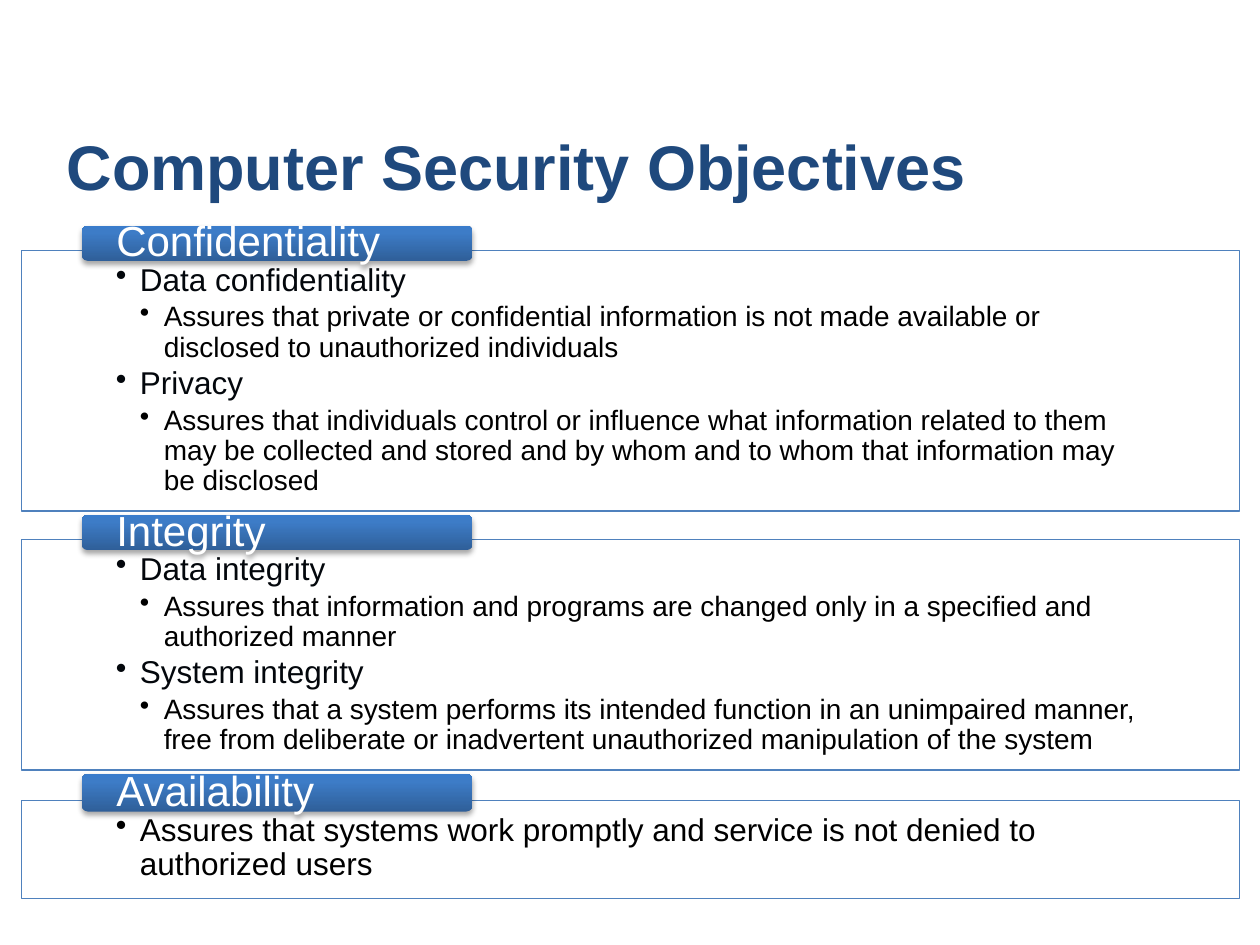
"""Builds a slide of three stacked, labelled panels on computer security objectives."""
from dataclasses import dataclass

from lxml import etree
from pptx import Presentation
from pptx.dml.color import RGBColor
from pptx.enum.shapes import MSO_SHAPE
from pptx.enum.text import MSO_ANCHOR, PP_ALIGN
from pptx.oxml import parse_xml
from pptx.oxml.ns import nsdecls, qn
from pptx.util import Emu, Inches, Pt

RECT, ROUNDED = MSO_SHAPE.RECTANGLE, MSO_SHAPE.ROUNDED_RECTANGLE
TOP, MIDDLE, BOTTOM = MSO_ANCHOR.TOP, MSO_ANCHOR.MIDDLE, MSO_ANCHOR.BOTTOM
LEFT = PP_ALIGN.LEFT
WIDTH, HEIGHT = Inches(10), Inches(7.5)


@dataclass(frozen=True)
class Theme:
    font: str = "Arial"
    title: str = "1F497D"
    head: str = "03070C"
    body: str = "000000"
    white: str = "FFFFFF"
    border: str = "4F81BD"
    tab_stops: tuple = ((0, "2F5F99"), (80, "3D7CC7"), (100, "3A7CCB"))
    title_pt: int = 36
    tab_pt: int = 24
    level_pt: tuple = (18, 16)


@dataclass(frozen=True)
class Bullet:
    text: str
    level: int
    color: str


@dataclass(frozen=True)
class Panel:
    """A label and its bullets; heights are percentages of the slide."""
    label: str
    tab_height: float
    height: float
    bullets: tuple


T = Theme()
FIRST_TOP, GAP, TAB_RISE = 23.87, 0.4, 0.7
STEP = Inches(0.19)
PANELS = (
    Panel("Confidentiality", 3.73, 27.6, (
        Bullet("Data confidentiality", 0, T.head),
        Bullet("Assures that private or confidential information is not made "
               "available or disclosed to unauthorized individuals", 1, T.body),
        Bullet("Privacy", 0, T.head),
        Bullet("Assures that individuals control or influence what information "
               "related to them may be collected and stored and by whom and to "
               "whom that information may be disclosed", 1, T.body))),
    Panel("Integrity", 3.73, 24.4, (
        Bullet("Data integrity", 0, T.head),
        Bullet("Assures that information and programs are changed only in a "
               "specified and authorized manner", 1, T.body),
        Bullet("System integrity", 0, T.head),
        Bullet("Assures that a system performs its intended function in an "
               "unimpaired manner, free from deliberate or inadvertent "
               "unauthorized manipulation of the system", 1, T.body))),
    Panel("Availability", 4, 10.4, (
        Bullet("Assures that systems work promptly and service is not denied "
               "to authorized users", 0, T.body),)),
)


def box(x: float, y: float, w: float, h: float) -> tuple:
    """Turn percentages of the slide into lengths."""
    return tuple(Emu(round(v * side / 100))
                 for v, side in ((x, WIDTH), (y, HEIGHT), (w, WIDTH), (h, HEIGHT)))


def set_frame(tf, anchor, side: float, top: float = 0, bottom: float = 0) -> None:
    """Set wrapping, anchor and insets in inches."""
    tf.word_wrap = True
    tf.vertical_anchor = anchor
    tf.margin_left = tf.margin_right = Inches(side)
    tf.margin_top, tf.margin_bottom = Inches(top), Inches(bottom)


def add_run(p, text: str, size: int, color: str, bold: bool = False) -> None:
    """Add one styled run to a left-aligned paragraph."""
    p.alignment = LEFT
    r = p.add_run()
    r.text = text
    r.font.name, r.font.size, r.font.bold = T.font, Pt(size), bold
    r.font.color.rgb = RGBColor.from_string(color)


def add_title(s, text: str) -> None:
    """Draw the slide title."""
    tf = s.shapes.add_textbox(*box(4.3, 13.33, 90.7, 8.8)).text_frame
    set_frame(tf, BOTTOM, 0.1, 0.05, 0.05)
    add_run(tf.paragraphs[0], text, T.title_pt, T.title, True)


def add_bullet(p, bullet: Bullet) -> None:
    """Fill a paragraph as a bullet at its level."""
    p.level = bullet.level + 1
    p.line_spacing = 0.9
    size = T.level_pt[bullet.level]
    p.space_after = Pt(size * 0.15)
    pPr = p._p.get_or_add_pPr()
    pPr.set("marL", str(STEP * (bullet.level + 1)))
    pPr.set("indent", str(-STEP))
    etree.SubElement(pPr, qn("a:buChar")).set("char", "•")
    add_run(p, bullet.text, size, bullet.color)


def add_body(s, top: float, panel: Panel) -> None:
    """Draw the outlined panel with its bullets."""
    sp = s.shapes.add_shape(RECT, *box(1.7, top, 96.7, panel.height))
    sp.shadow.inherit = False
    sp.fill.solid()
    sp.fill.fore_color.rgb = RGBColor.from_string(T.white)
    color = sp._element.spPr.find(".//" + qn("a:srgbClr"))
    etree.SubElement(color, qn("a:alpha")).set("val", "90000")
    sp.line.color.rgb = RGBColor.from_string(T.border)
    sp.line.width = Pt(0.75)
    tf = sp.text_frame
    set_frame(tf, TOP, 0.75, 0.11, 0.14)
    for i, bullet in enumerate(panel.bullets):
        add_bullet(tf.add_paragraph() if i else tf.paragraphs[0], bullet)


def add_tab(s, top: float, panel: Panel) -> None:
    """Draw the shaded label that overlaps the panel's top edge."""
    sp = s.shapes.add_shape(ROUNDED, *box(6.5, top, 31, panel.tab_height))
    sp.line.fill.background()
    sp.shadow.inherit = False
    spPr = sp._element.spPr
    stops = "".join(f'<a:gs pos="{pos * 1000}"><a:srgbClr val="{color}"/></a:gs>'
                    for pos, color in T.tab_stops)
    spPr.find(qn("a:prstGeom")).addnext(parse_xml(
        f'<a:gradFill {nsdecls("a")} rotWithShape="1"><a:gsLst>{stops}</a:gsLst>'
        '<a:lin ang="16200000" scaled="0"/></a:gradFill>'))
    spPr.find(qn("a:effectLst")).append(parse_xml(
        f'<a:outerShdw {nsdecls("a")} blurRad="{Pt(3.1)}" dist="{Pt(1.8)}" '
        'dir="5400000" rotWithShape="0"><a:srgbClr val="000000">'
        '<a:alpha val="35000"/></a:srgbClr></a:outerShdw>'))
    set_frame(sp.text_frame, MIDDLE, 0.26)
    p = sp.text_frame.paragraphs[0]
    p.line_spacing = 0.9
    add_run(p, panel.label, T.tab_pt, T.white)


def main() -> None:
    """Stack the panels under the title and save."""
    prs = Presentation()
    prs.slide_width, prs.slide_height = WIDTH, HEIGHT
    s = prs.slides.add_slide(prs.slide_layouts[6])
    add_title(s, "Computer Security Objectives")
    top = FIRST_TOP
    for panel in PANELS:
        body_top = top + TAB_RISE * panel.tab_height
        add_body(s, body_top, panel)
        add_tab(s, top, panel)
        top = body_top + panel.height + GAP
    prs.save("out.pptx")


if __name__ == "__main__":
    main()
